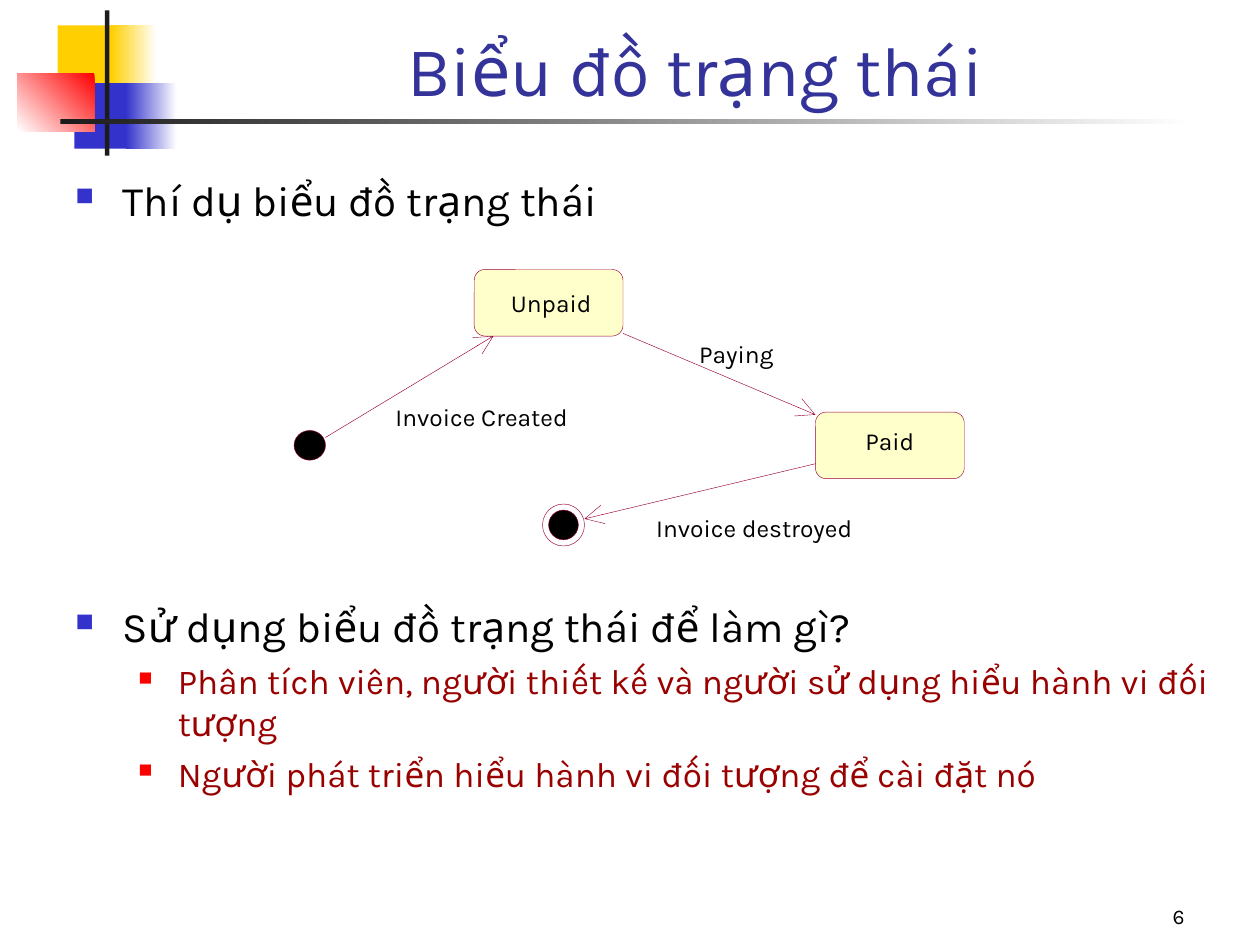
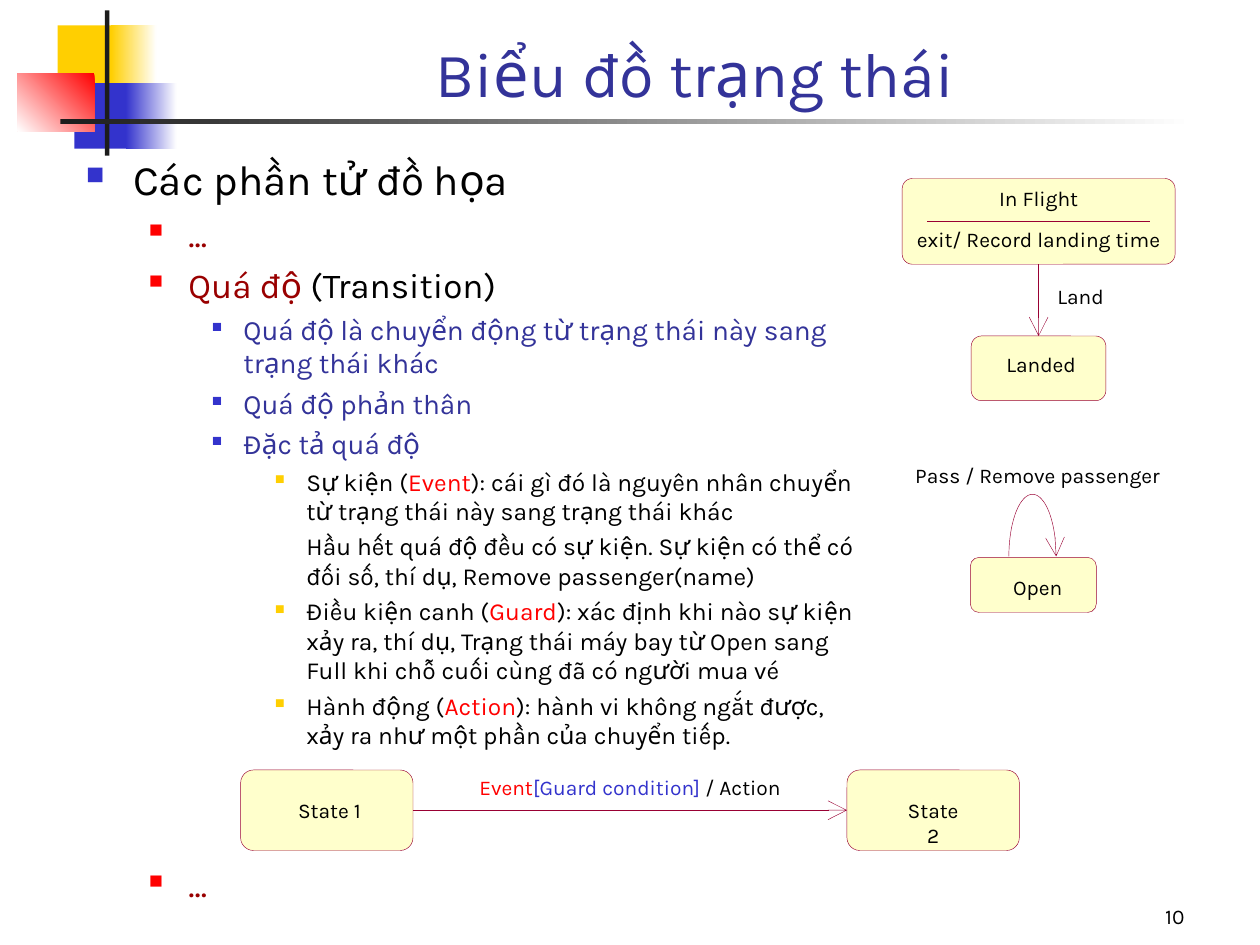
import math
from dataclasses import dataclass

from lxml import etree
from pptx import Presentation
from pptx.dml.color import RGBColor
from pptx.enum.shapes import MSO_CONNECTOR, MSO_SHAPE
from pptx.enum.text import MSO_ANCHOR, MSO_AUTO_SIZE, PP_ALIGN
from pptx.oxml.ns import qn
from pptx.util import Pt

RECTANGLE, ROUNDED, OVAL = MSO_SHAPE.RECTANGLE, MSO_SHAPE.ROUNDED_RECTANGLE, MSO_SHAPE.OVAL
STRAIGHT = MSO_CONNECTOR.STRAIGHT
LEFT, CENTER, RIGHT = PP_ALIGN.LEFT, PP_ALIGN.CENTER, PP_ALIGN.RIGHT
TOP, BOTTOM = MSO_ANCHOR.TOP, MSO_ANCHOR.BOTTOM
NO_FIT = MSO_AUTO_SIZE.NONE
TOP_SIDE, LEFT_SIDE, BOTTOM_SIDE, RIGHT_SIDE = range(4)


@dataclass(frozen=True)
class Level:
    margin: float
    hanging: float
    space: float
    size: int
    color: str
    bullet_color: str
    bullet_percent: int


class Theme:
    font = "Karla"
    white, black, ink = "FFFFFF", "000000", "1C1C1C"
    yellow, blue, red = "FFCF01", "3333CC", "FF0000"
    title, state_fill, state_line = "333399", "FFFFCC", "990033"
    number_size = 12
    hairline = 0.25
    levels = (
        Level(27, 27, 6, 24, black, blue, 60),
        Level(58.5, 22.5, 5, 20, "990000", red, 55),
        Level(90, 18, 4, 16, title, blue, 50),
        Level(126, 18, 3.5, 14, black, yellow, 55),
    )


@dataclass(frozen=True)
class Box:
    left: float
    top: float
    width: float
    height: float

    def inside(self, left, top, width, height):
        return Box(self.left + left, self.top + top, width, height)

    def point(self, x, y):
        return Pt(self.left + x), Pt(self.top + y)

    def lengths(self):
        return [Pt(value) for value in (self.left, self.top, self.width, self.height)]


def assign(target, **values):
    for name, value in values.items():
        setattr(target, name, value)


def rgb(color):
    return RGBColor.from_string(color)


def add_span(para, text, size, color):
    span = para.add_run()
    span.text = text
    assign(span.font, name=Theme.font, size=Pt(size))
    span.font.color.rgb = rgb(color)


def draw_stroke(shape, color):
    shape.line.color.rgb = rgb(color)
    shape.line.width = Pt(Theme.hairline)


def paint(shape, fill, line):
    if fill:
        shape.fill.solid()
        shape.fill.fore_color.rgb = rgb(fill)
    else:
        shape.fill.background()
    if line:
        draw_stroke(shape, line)
    else:
        shape.line.fill.background()


def add_shape(page, kind, box, fill=None, line=None):
    shape = page.shapes.add_shape(kind, *box.lengths())
    shape.shadow.inherit = False
    paint(shape, fill, line)
    return shape


def add_fade(page, box, start, angle=0):
    shape = add_shape(page, RECTANGLE, box)
    shape.fill.gradient()
    shape.fill.gradient_angle = angle
    for stop, color in zip(shape.fill.gradient_stops, (start, Theme.white)):
        stop.color.rgb = rgb(color)


def add_arrowhead(shape):
    outline = shape.element.spPr.find(qn("a:ln"))
    etree.SubElement(outline, qn("a:tailEnd"), type="arrow", w="lg", len="lg")


def add_line(page, start, end, arrow=True):
    line = page.shapes.add_connector(STRAIGHT, *start, *end)
    draw_stroke(line, Theme.state_line)
    if arrow:
        add_arrowhead(line)
    etree.SubElement(line.element.spPr, qn("a:effectLst"))
    return line


def join(page, first, first_side, second, second_side):
    line = add_line(page, (0, 0), (0, 0))
    line.begin_connect(first, first_side)
    line.end_connect(second, second_side)


def add_label(page, box, spans, size, align=CENTER):
    frame = page.shapes.add_textbox(*box.lengths()).text_frame
    assign(frame, word_wrap=True, margin_left=0, margin_right=0, margin_top=0, margin_bottom=0)
    para = frame.paragraphs[0]
    para.alignment = align
    for text, color in spans:
        add_span(para, text, size, color)


def add_state(page, box, lines, size, text_top, margins=(3, 0), corner=0.16):
    state = add_shape(page, ROUNDED, box, Theme.state_fill, Theme.state_line)
    state.adjustments[0] = corner
    frame = state.text_frame
    assign(frame, word_wrap=True, vertical_anchor=TOP, margin_left=Pt(margins[0]),
           margin_right=Pt(margins[1]), margin_top=Pt(text_top), margin_bottom=0)
    for index, text in enumerate(lines):
        para = frame.add_paragraph() if index else frame.paragraphs[0]
        assign(para, alignment=CENTER, space_before=Pt(9 if index else 0))
        add_span(para, text, size, Theme.black)
    return state


def add_outline(page, box, items):
    frame = page.shapes.add_textbox(*box.lengths()).text_frame
    frame.word_wrap = True
    for index, (depth, bulleted, *spans) in enumerate(items):
        level = Theme.levels[depth]
        para = frame.add_paragraph() if index else frame.paragraphs[0]
        assign(para, level=depth, alignment=LEFT, space_before=Pt(level.space))
        properties = para._p.get_or_add_pPr()
        properties.set("marL", str(Pt(level.margin)))
        properties.set("indent", str(-Pt(level.hanging) if bulleted else 0))
        if bulleted:
            color = etree.SubElement(properties, qn("a:buClr"))
            etree.SubElement(color, qn("a:srgbClr"), val=level.bullet_color)
            etree.SubElement(properties, qn("a:buSzPct"), val=str(level.bullet_percent * 1000))
            etree.SubElement(properties, qn("a:buChar"), char="■")
        else:
            etree.SubElement(properties, qn("a:buNone"))
        for span in spans:
            text, color = span if isinstance(span, tuple) else (span, level.color)
            add_span(para, text, level.size, color)


def draw_emblem(page, box):
    add_shape(page, RECTANGLE, box.inside(23, 8.5, 34.5, 37.5), Theme.yellow)
    add_fade(page, box.inside(53.5, 8.5, 26, 37.5), Theme.yellow)
    add_shape(page, RECTANGLE, box.inside(32.5, 41.5, 33, 37.5), Theme.blue)
    add_fade(page, box.inside(62, 41.5, 29, 37.5), Theme.blue)
    add_fade(page, box.inside(0, 36, 44, 33), Theme.red, 225)
    add_shape(page, RECTANGLE, box.inside(50, 0, 2.5, box.height), Theme.ink)
    add_fade(page, box.inside(24.5, 62, 648, 2.7), Theme.ink)


def add_page(deck, title, title_size, number):
    page = deck.slides.add_slide(deck.slide_layouts[5])
    draw_emblem(page, Box(10, 6, 672.5, 83))
    heading = page.shapes.title
    left, top, width, height = Box(90.5, 6, 613.5, 60.5).lengths()
    assign(heading, left=left, top=top, width=width, height=height)
    assign(heading.text_frame, vertical_anchor=BOTTOM, auto_size=NO_FIT, word_wrap=True)
    para = heading.text_frame.paragraphs[0]
    para.alignment = CENTER
    add_span(para, title, title_size, Theme.title)
    footer = page.shapes.add_textbox(*Box(534, 498, 150, 36).lengths()).text_frame
    assign(footer, word_wrap=True, vertical_anchor=BOTTOM)
    footer.paragraphs[0].alignment = RIGHT
    add_span(footer.paragraphs[0], number, Theme.number_size, Theme.black)
    return page


def draw_invoice_states(page, box):
    size = 14
    add_shape(page, OVAL, box.inside(0, 92, 18, 17), Theme.black, Theme.state_line)
    add_state(page, box.inside(103, 0, 85, 38), ["Unpaid"], size, 8.7)
    add_state(page, box.inside(298, 81.5, 85, 38), ["Paid"], size, 6.3, margins=(0, 0))
    ring = box.inside(142, 134, 24, 24)
    add_shape(page, OVAL, ring, line=Theme.state_line)
    add_shape(page, OVAL, ring.inside(3.5, 3.5, 17, 17), Theme.black, Theme.state_line)
    for start, end in (((18, 96), (114, 38)), ((188, 36.5), (298, 83)), ((298, 111), (166, 142.5))):
        add_line(page, box.point(*start), box.point(*end))
    for text, left, top, width in (
        ("Invoice Created", 58, 75.5, 105),
        ("Paying", 231.5, 39.5, 47),
        ("Invoice destroyed", 207, 139, 120),
    ):
        add_label(page, box.inside(left, top, width, 17), [(text, Theme.black)], size, LEFT)


def draw_landing(page, box):
    size = 12
    flight = add_state(page, box.inside(0, 0, 156, 49),
                       ["In Flight", "exit/ Record landing time"], size, 2.4,
                       margins=(0, 0), corner=0.12)
    add_line(page, box.point(14.5, 24.5), box.point(141.5, 24.5), arrow=False)
    landed = add_state(page, box.inside(39.5, 90, 77, 37), ["Landed"], size, 7.3)
    join(page, flight, BOTTOM_SIDE, landed, TOP_SIDE)
    add_label(page, box.inside(87, 60, 30, 14.5), [("Land", Theme.black)], size)


def draw_self_transition(page, box):
    size = 12
    add_label(page, box.inside(0, 0.5, 144, 14.5), [("Pass / Remove passenger", Theme.black)], size)
    add_state(page, box.inside(33.5, 54.5, 72, 31.5), ["Open"], size, 8.3, margins=(5, 0))
    steps = 40
    points = [
        box.point(69 - 13.5 * math.cos(math.pi * step / steps),
                  54 - 35.5 * math.sin(math.pi * step / steps))
        for step in range(steps + 1)
    ]
    builder = page.shapes.build_freeform(*points[0])
    builder.add_line_segments(points[1:], close=False)
    loop = builder.convert_to_shape()
    loop.shadow.inherit = False
    paint(loop, None, Theme.state_line)
    add_arrowhead(loop)


def draw_transition_syntax(page, box):
    size, width = 12, 98.5
    first = add_state(page, box.inside(0, 0, width, 46), ["State 1"], size, 13.3)
    second = add_state(page, box.inside(box.width - width, 0, width, 46),
                       ["State 2"], size, 13.3, margins=(30, 30))
    join(page, first, RIGHT_SIDE, second, LEFT_SIDE)
    spans = [("Event", Theme.red), ("[Guard condition] ", Theme.blue), ("/ Action", Theme.black)]
    add_label(page, box.inside(134, 2.5, 177, 14.5), spans, size)


def build_example_page(deck):
    page = add_page(deck, "Biểu đồ trạng thái", 40, "6")
    add_outline(page, Box(36, 96, 669, 40), [(0, True, "Thí dụ biểu đồ trạng thái")])
    draw_invoice_states(page, Box(168, 154, 383, 158))
    add_outline(page, Box(36, 339.5, 669, 153), [
        (0, True, "Sử dụng biểu đồ trạng thái để làm gì?"),
        (1, True, "Phân tích viên, người thiết kế và người sử dụng hiểu hành vi đối tượng"),
        (1, True, "Người phát triển hiểu hành vi đối tượng để cài đặt nó"),
    ])


def build_transition_page(deck):
    page = add_page(deck, "Biểu đồ trạng thái", 36, "10")
    add_outline(page, Box(42, 84, 456, 350), [
        (0, True, "Các phần tử đồ họa"),
        (1, True, "..."),
        (1, True, "Quá độ ", ("(Transition)", Theme.black)),
        (2, True, "Quá độ là chuyển động từ trạng thái này sang trạng thái khác"),
        (2, True, "Quá độ phản thân"),
        (2, True, "Đặc tả quá độ"),
        (3, True, "Sự kiện (", ("Event", Theme.red),
         "): cái gì đó là nguyên nhân chuyển từ trạng thái này sang trạng thái khác"),
        (3, False, "Hầu hết quá độ đều có sự kiện. Sự kiện có thể có đối số, thí dụ, "
                   "Remove passenger(name)"),
        (3, True, "Điều kiện canh (", ("Guard", Theme.red),
         "): xác định khi nào sự kiện xảy ra, thí dụ, Trạng thái máy bay từ Open sang Full "
         "khi chỗ cuối cùng đã có người mua vé"),
        (3, True, "Hành động (", ("Action", Theme.red),
         "): hành vi không ngắt được, xảy ra như một phần của chuyển tiếp."),
    ])
    add_outline(page, Box(42, 489.5, 456, 36), [(1, True, "...")])
    draw_landing(page, Box(515.5, 102, 156, 127))
    draw_self_transition(page, Box(521, 264, 144, 87))
    draw_transition_syntax(page, Box(137.5, 440, 445, 46))


def main():
    deck = Presentation()
    assign(deck, slide_width=Pt(720), slide_height=Pt(540))
    build_example_page(deck)
    build_transition_page(deck)
    deck.save("out.pptx")


if __name__ == "__main__":
    main()
